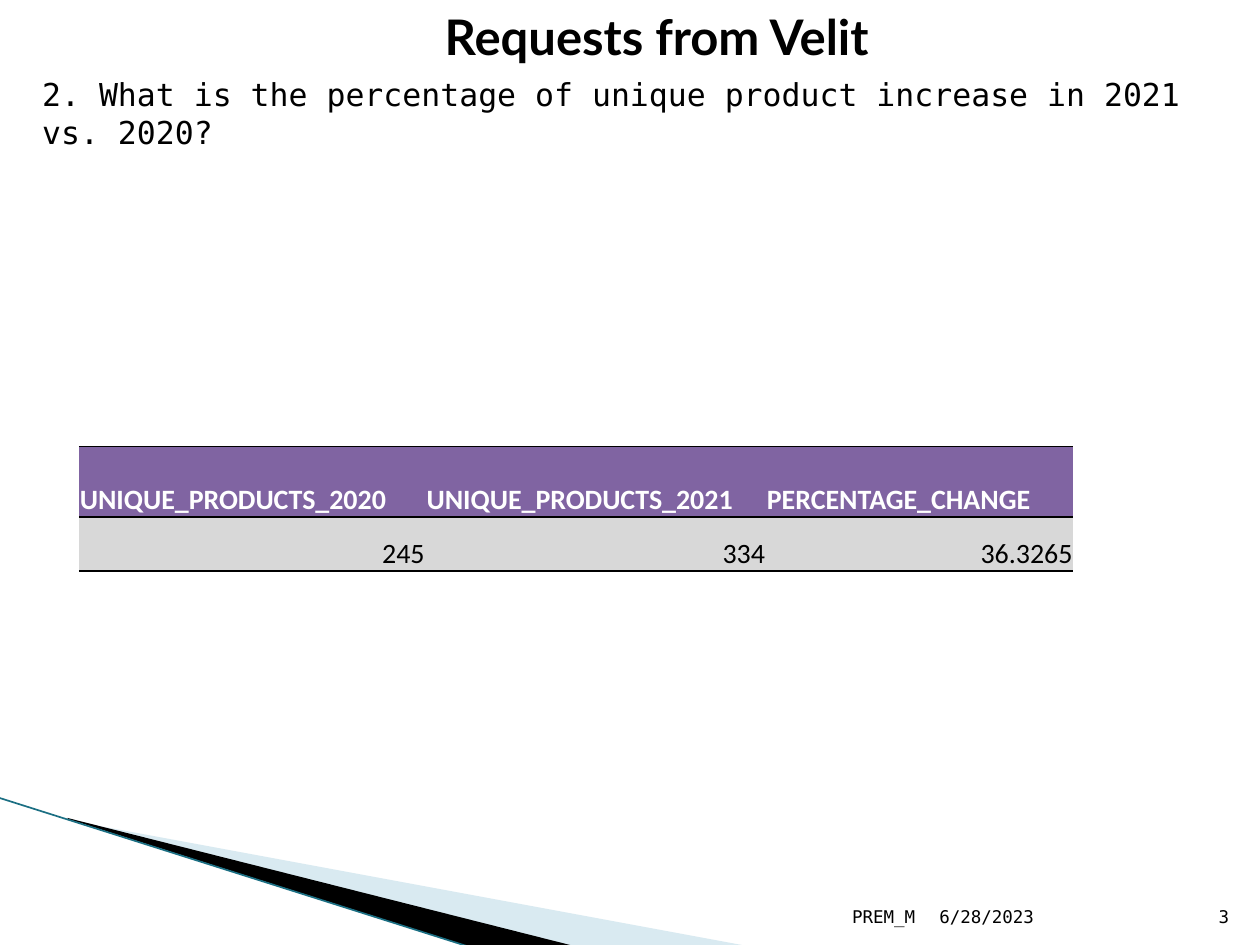
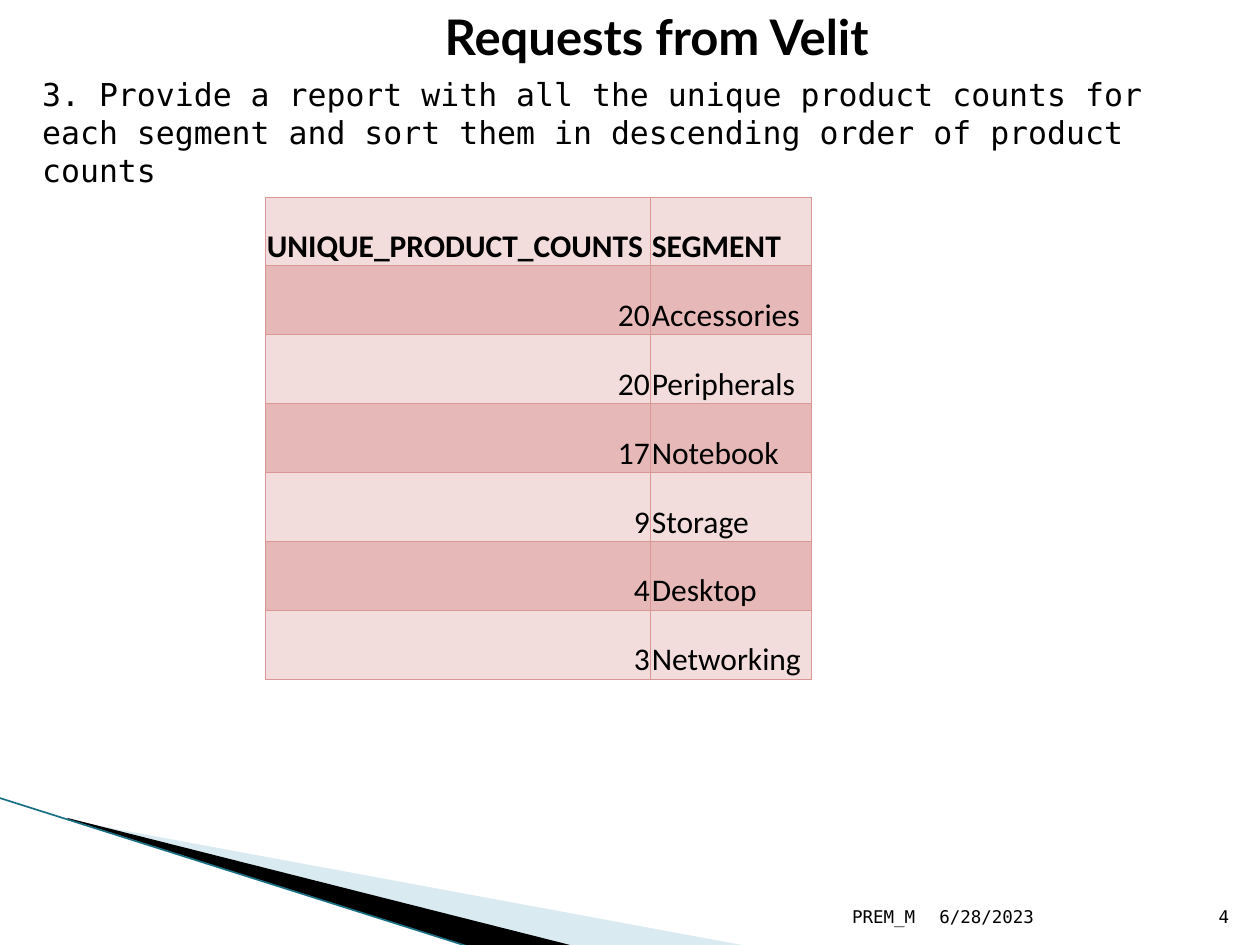
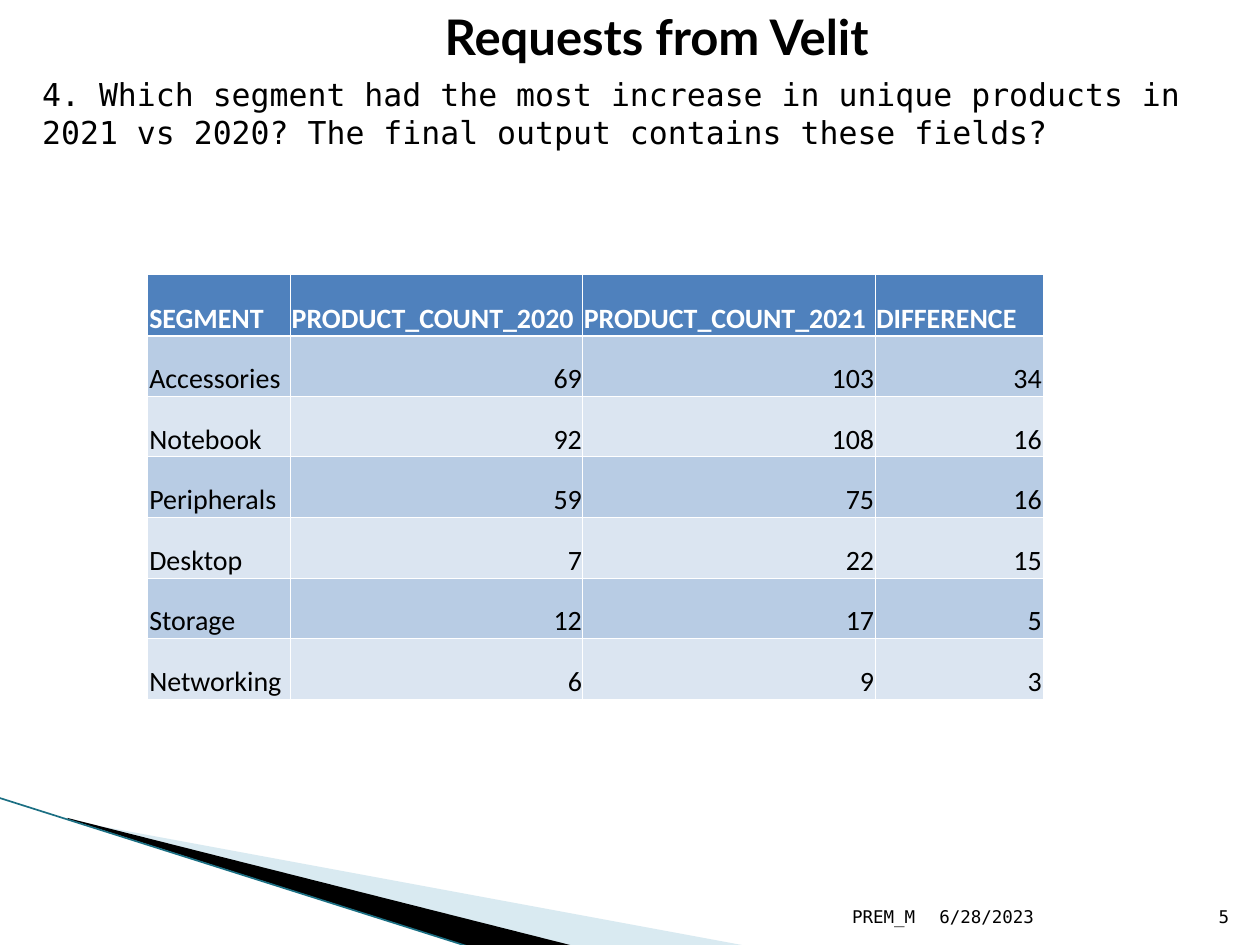
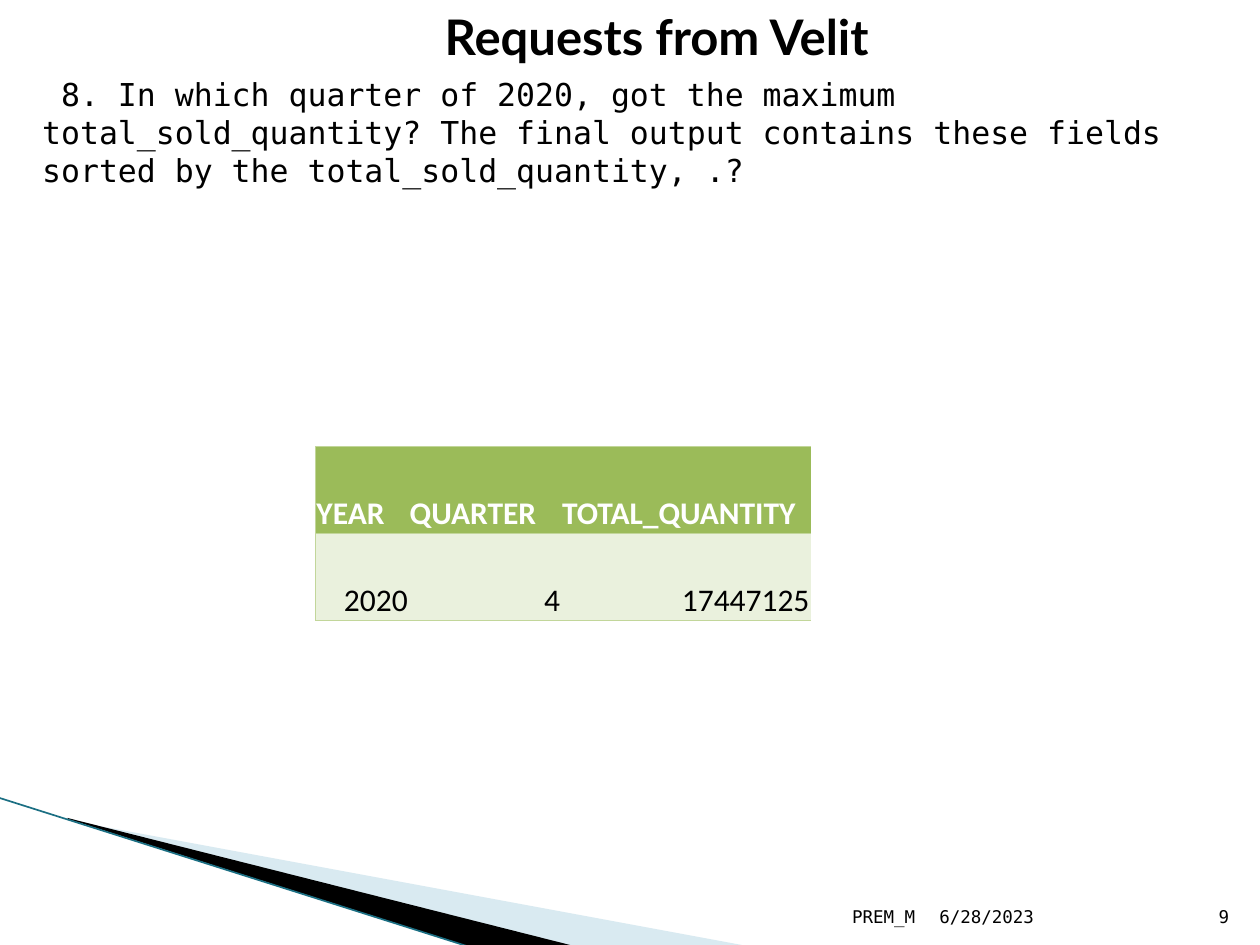
"""Build four request slides, each with a question and its result table."""
from dataclasses import dataclass
from itertools import cycle

from lxml.etree import SubElement
from pptx import Presentation
from pptx.dml.color import RGBColor
from pptx.enum.shapes import MSO_CONNECTOR as Connector
from pptx.enum.text import MSO_ANCHOR as Anchor, MSO_AUTO_SIZE as AutoSize, PP_ALIGN as Align
from pptx.oxml import parse_xml
from pptx.oxml.ns import nsdecls, qn
from pptx.slide import Slide
from pptx.table import _Cell as Cell
from pptx.util import Cm, Pt

COLOURS = {
    "black": "000000", "white": "FFFFFF", "sky": "A0CBDC", "teal": "1B6F83",
    "purple": "8064A2", "grey": "D8D8D8",
    "blush": "F2DDDC", "rose": "E6B9B8", "coral": "D99795",
    "blue": "4F81BD", "steel": "B8CCE4", "ice": "DBE5F1",
    "green": "9BBB59", "mint": "EAF1DD", "leaf": "C2D69A",
}
TITLE = "Requests from Velit"
AUTHOR = "PREM_M"
DATE = "6/28/2023"
TITLE_FONT, TEXT_FONT, TABLE_FONT = "Lato", "DejaVu Sans Mono", "Calibri"
NO_STYLE = "{2D5ABB26-0587-4C30-8999-92F81FD0307C}"
FOOTER_TOP, FOOTER_HEIGHT = 17.79, 1.02


@dataclass(frozen=True)
class TextStyle:
    font: str
    size: float
    colour: str = "black"
    bold: bool = False
    align: Align = Align.LEFT


@dataclass(frozen=True)
class Box:
    left: float
    top: float
    width: float
    height: float


@dataclass(frozen=True)
class Wedge:
    """A filled outline whose points may reach beyond its frame."""
    frame: Box
    points: tuple[tuple[float, float], ...]
    colour: str
    opacity: int = 100


@dataclass(frozen=True)
class Grid:
    """Rules of a table: outer sides, inner verticals and line weights."""
    colour: str
    weight: float
    outer: str
    verticals: bool = False
    header_weight: float = 0


@dataclass(frozen=True)
class Result:
    left: float
    top: float
    columns: tuple[float, ...]
    header_height: float
    row_height: float
    size: float
    header_fill: str
    header_text: str
    bands: tuple[str, ...]
    grid: Grid
    rows: tuple[tuple[str, ...], ...]


@dataclass(frozen=True)
class Request:
    page: int
    question: str
    question_height: float
    result: Result


WEDGES = (
    Wedge(Box(1.98, 13.89, 10.57, 4.01),
          ((1.4, 16.54), (15.11, 19.08), (11.58, 19.08), (1.4, 16.51)), "sky", 40),
    Wedge(Box(-0.15, 16.08, 10.57, 2.34),
          ((1.36, 16.49), (11.61, 19.08), (9.52, 19.1), (1.37, 16.51)), "black"),
)

REQUESTS = (
    Request(3, "2. What is the percentage of unique product increase in 2021 vs. 2020?", 1.02, Result(
        1.59, 9, (6.99, 6.86, 6.2), 1.42, 1.09, 16, "purple", "white", ("grey",),
        Grid("black", 1, "TB"),
        (("UNIQUE_PRODUCTS_2020", "UNIQUE_PRODUCTS_2021", "PERCENTAGE_CHANGE"),
         ("245", "334", "36.3265")))),
    Request(4, "3. Provide a report with all the unique product counts for each segment "
               "and sort them in descending order of product counts", 1.8, Result(
        5.36, 3.97, (7.76, 3.23), 1.39, 1.39, 18, "blush", "black", ("rose", "blush"),
        Grid("coral", 0.5, "LRTB", verticals=True),
        (("UNIQUE_PRODUCT_COUNTS", "SEGMENT"),
         ("20", "Accessories"), ("20", "Peripherals"), ("17", "Notebook"),
         ("9", "Storage"), ("4", "Desktop"), ("3", "Networking")))),
    Request(5, "4. Which segment had the most increase in unique products in 2021 vs 2020? "
               "The final output contains these fields?", 1.8, Result(
        2.99, 5.55, (2.87, 5.89, 5.89, 3.38), 1.22, 1.22, 16, "blue", "white", ("steel", "ice"),
        Grid("white", 0.5, "", verticals=True, header_weight=1.5),
        (("SEGMENT", "PRODUCT_COUNT_2020", "PRODUCT_COUNT_2021", "DIFFERENCE"),
         ("Accessories", "69", "103", "34"), ("Notebook", "92", "108", "16"),
         ("Peripherals", "59", "75", "16"), ("Desktop", "7", "22", "15"),
         ("Storage", "12", "17", "5"), ("Networking", "6", "9", "3")))),
    Request(9, " 8. In which quarter of 2020, got the maximum total_sold_quantity? The final "
               "output contains these fields sorted by the total_sold_quantity, .?", 1.8, Result(
        6.36, 9, (1.88, 3.07, 5.03), 1.75, 1.75, 18, "green", "white", ("mint",),
        Grid("leaf", 0.5, "LTB"),
        (("YEAR", "QUARTER", "TOTAL_QUANTITY"), ("2020", "4", "17447125")))),
)


def rgb(name: str) -> RGBColor:
    """Look up a named colour."""
    return RGBColor.from_string(COLOURS[name])


def write(frame, text: str, style: TextStyle) -> None:
    """Write one styled run into the first paragraph of a text frame."""
    paragraph = frame.paragraphs[0]
    paragraph.alignment = style.align
    run = paragraph.add_run()
    run.text = text
    run.font.name, run.font.size, run.font.bold = style.font, Pt(style.size), style.bold
    run.font.color.rgb = rgb(style.colour)


def add_text(slide: Slide, box: Box, text: str, style: TextStyle,
             anchor: Anchor = Anchor.TOP, grow: bool = False, indent: float = 0) -> None:
    """Add a wrapping text box."""
    frame = slide.shapes.add_textbox(
        Cm(box.left), Cm(box.top), Cm(box.width), Cm(box.height)).text_frame
    frame.word_wrap = True
    frame.vertical_anchor = anchor
    frame.auto_size = AutoSize.SHAPE_TO_FIT_TEXT if grow else AutoSize.NONE
    frame.margin_left += Cm(indent)
    write(frame, text, style)


def add_wedge(slide: Slide, wedge: Wedge) -> None:
    """Draw one corner wedge, its points measured from its frame."""
    points = [(Cm(x), Cm(y)) for x, y in wedge.points]
    builder = slide.shapes.build_freeform(*points[0])
    builder.add_line_segments(points[1:])
    shape = builder.convert_to_shape()
    frame = wedge.frame
    shape.left, shape.top = Cm(frame.left), Cm(frame.top)
    shape.width, shape.height = Cm(frame.width), Cm(frame.height)
    outline = next(shape.element.iter(qn("a:path")))
    outline.set("w", str(shape.width))
    outline.set("h", str(shape.height))
    for corner, (x, y) in zip(outline.iter(qn("a:pt")), points):
        corner.set("x", str(x - shape.left))
        corner.set("y", str(y - shape.top))
    shape.shadow.inherit = False
    shape.line.fill.background()
    shape.fill.solid()
    shape.fill.fore_color.rgb = rgb(wedge.colour)
    if wedge.opacity < 100:
        tone = next(shape.element.spPr.iter(qn("a:srgbClr")))
        SubElement(tone, qn("a:alpha"), val=str(wedge.opacity * 1000))


def add_corner(slide: Slide) -> None:
    """Draw the wedges and the edge line in the lower left corner."""
    for wedge in WEDGES:
        add_wedge(slide, wedge)
    edge = slide.shapes.add_connector(
        Connector.STRAIGHT, Cm(-0.03), Cm(16.08), Cm(9.47), Cm(19.09))
    edge.line.color.rgb = rgb("teal")
    edge.line.width = Pt(0.95)
    SubElement(edge.element.spPr, qn("a:effectLst"))


def side_weights(grid: Grid, row: int, column: int, rows: int, columns: int) -> dict[str, float]:
    """Give the line weight of each side of a cell, in schema order."""
    at_edge = {"L": column == 0, "R": column == columns - 1, "T": row == 0, "B": row == rows - 1}
    weights = {}
    for side, outer in at_edge.items():
        shown = side in grid.outer if outer else grid.verticals or side in "TB"
        under_header = (row, side) in ((0, "B"), (1, "T"))
        weight = grid.header_weight if under_header and grid.header_weight else grid.weight
        weights[side] = weight if shown else 0
    return weights


def add_borders(cell: Cell, colour: str, weights: dict[str, float]) -> None:
    """Put the four border lines ahead of the fill of a cell."""
    properties = cell._tc.get_or_add_tcPr()
    for place, (side, weight) in enumerate(weights.items()):
        paint = (f'<a:solidFill><a:srgbClr val="{COLOURS[colour]}"/></a:solidFill>'
                 if weight else "<a:noFill/>")
        properties.insert(place, parse_xml(
            f'<a:ln{side} {nsdecls("a")} w="{Pt(weight)}">{paint}</a:ln{side}>'))


def add_result(slide: Slide, result: Result) -> None:
    """Add the result table with its bands and rules."""
    rows, columns = len(result.rows), len(result.columns)
    heights = [result.header_height] + [result.row_height] * (rows - 1)
    holder = slide.shapes.add_table(rows, columns, Cm(result.left), Cm(result.top),
                                    Cm(sum(result.columns)), Cm(sum(heights)))
    next(holder.element.iter(qn("a:tableStyleId"))).text = NO_STYLE
    table = holder.table
    table.first_row = table.horz_banding = False
    for column, width in zip(table.columns, result.columns):
        column.width = Cm(width)
    bands = cycle(result.bands)
    for r, (values, height) in enumerate(zip(result.rows, heights)):
        table.rows[r].height = Cm(height)
        header = r == 0
        band = result.header_fill if header else next(bands)
        for c, value in enumerate(values):
            cell = table.cell(r, c)
            cell.fill.solid()
            cell.fill.fore_color.rgb = rgb(band)
            cell.vertical_anchor = Anchor.BOTTOM
            cell.margin_left = cell.margin_right = cell.margin_top = Cm(0.02)
            cell.margin_bottom = 0
            number = value.replace(".", "").isdigit()
            write(cell.text_frame, value, TextStyle(
                TABLE_FONT, result.size, result.header_text if header else "black",
                header, Align.RIGHT if number else Align.LEFT))
            add_borders(cell, result.grid.colour, side_weights(result.grid, r, c, rows, columns))


def add_footer(slide: Slide, page: int) -> None:
    """Add author, date and page number along the bottom."""
    for left, width, text, align in (
        (18.69, 5.33, DATE, Align.LEFT),
        (24.01, 1.02, str(page), Align.RIGHT),
        (12.17, 6.53, AUTHOR, Align.RIGHT),
    ):
        add_text(slide, Box(left, FOOTER_TOP, width, FOOTER_HEIGHT), text,
                 TextStyle(TEXT_FONT, 10, align=align), Anchor.BOTTOM)


def add_request(deck, request: Request) -> None:
    """Add one complete request slide."""
    slide = deck.slides.add_slide(deck.slide_layouts[6])
    add_corner(slide)
    add_text(slide, Box(2.77, 0, 19.25, 1.45), TITLE,
             TextStyle(TITLE_FONT, 28, bold=True, align=Align.CENTER), grow=True, indent=1.68)
    add_text(slide, Box(0.6, 1.39, 23.62, request.question_height), request.question,
             TextStyle(TEXT_FONT, 18), grow=True)
    add_result(slide, request.result)
    add_footer(slide, request.page)


def main() -> None:
    """Build and save the deck."""
    deck = Presentation()
    deck.slide_width, deck.slide_height = Cm(25.4), Cm(19.05)
    for request in REQUESTS:
        add_request(deck, request)
    deck.save("out.pptx")


main()
